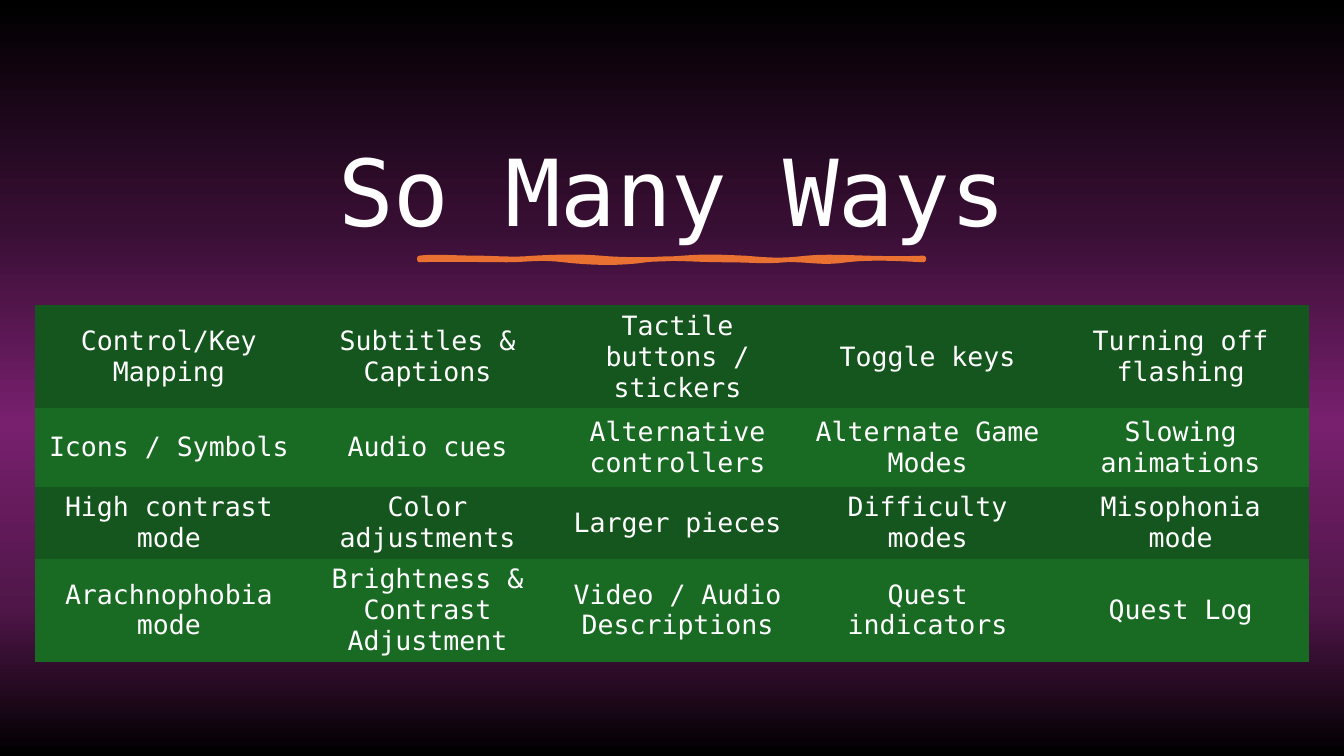
"""Build a slide that lists ways to make games more accessible."""
import lxml.etree
import pptx
import pptx.dml.color
import pptx.enum.text
import pptx.oxml
import pptx.oxml.ns
import pptx.util

Inches = pptx.util.Inches
RGB = pptx.dml.color.RGBColor
ALIGN = pptx.enum.text.PP_ALIGN
ANCHOR = pptx.enum.text.MSO_ANCHOR

WHITE = RGB(0xFF, 0xFF, 0xFF)
ORANGE = RGB(0xE9, 0x71, 0x32)
BANDS = RGB(0x14, 0x56, 0x1D), RGB(0x19, 0x6B, 0x24)
STOPS = [
    (0, RGB(0x00, 0x00, 0x00)),
    (29, RGB(0x36, 0x0E, 0x32)),
    (56, RGB(0x78, 0x20, 0x6E)),
    (80, RGB(0x50, 0x16, 0x49)),
    (100, RGB(0x00, 0x00, 0x00)),
]
NO_GRID = "{2D5ABB26-0587-4C30-8999-92F81FD0307C}"

WAYS = [
    ["Control/Key Mapping", "Subtitles & Captions", "Tactile buttons / stickers",
     "Toggle keys", "Turning off flashing"],
    ["Icons / Symbols", "Audio cues", "Alternative controllers",
     "Alternate Game Modes", "Slowing animations"],
    ["High contrast mode", "Color adjustments", "Larger pieces",
     "Difficulty modes", "Misophonia mode"],
    ["Arachnophobia mode", "Brightness & Contrast Adjustment",
     "Video / Audio Descriptions", "Quest indicators", "Quest Log"],
]
COLS = [2.65, 2.48, 2.48, 2.48, 2.54]
ROWS = [0.78, 0.78, 0.46, 0.78]

START = (4.16, 2.56)
CURVES = [
    (4.28, 2.54, 4.54, 2.56, 4.73, 2.56),
    (4.92, 2.56, 5.09, 2.58, 5.29, 2.56),
    (5.49, 2.55, 5.74, 2.54, 5.96, 2.56),
    (6.17, 2.58, 6.53, 2.58, 6.77, 2.56),
    (7.02, 2.54, 7.14, 2.55, 7.39, 2.56),
    (7.63, 2.58, 7.74, 2.59, 8, 2.56),
    (8.26, 2.53, 8.67, 2.58, 9.16, 2.56),
    (9.17, 2.57, 9.16, 2.57, 9.16, 2.58),
    (8.95, 2.57, 8.65, 2.55, 8.4, 2.58),
    (8.15, 2.62, 8.01, 2.57, 7.79, 2.58),
    (7.56, 2.6, 7.47, 2.58, 7.17, 2.58),
    (6.87, 2.58, 6.67, 2.55, 6.41, 2.58),
    (6.14, 2.62, 5.85, 2.61, 5.59, 2.58),
    (5.34, 2.55, 5.23, 2.58, 5.03, 2.58),
    (4.83, 2.58, 4.38, 2.57, 4.16, 2.58),
    (4.16, 2.58, 4.16, 2.57, 4.16, 2.56),
]


def write(frame, text, *, size, font, color=WHITE, align=ALIGN.CENTER, gap=None):
    para = frame.paragraphs[0]
    para.alignment = align
    para.line_spacing = gap
    run = para.add_run()
    run.text = text
    run.font.size = pptx.util.Pt(size)
    run.font.name = font
    run.font.bold = False
    run.font.color.rgb = color


def trace(start, curves, steps=8):
    dots = [start]
    for curve in curves:
        knots = [dots[-1], curve[:2], curve[2:4], curve[4:]]
        for step in range(1, steps + 1):
            t = step / steps
            parts = [(1 - t) ** 3, 3 * t * (1 - t) ** 2, 3 * t ** 2 * (1 - t), t ** 3]
            dots.append(tuple(sum(p * k[axis] for p, k in zip(parts, knots))
                              for axis in (0, 1)))
    return dots


class Deck:
    font = "DejaVu Sans Mono"

    def __init__(self):
        self.show = pptx.Presentation()
        self.show.slide_width = Inches(13.33)
        self.show.slide_height = Inches(7.5)
        self.slide = self.show.slides.add_slide(self.show.slide_layouts[5])

    def shade(self, stops):
        fill = self.slide.background.fill
        fill.gradient()
        fill.gradient_angle = 270
        tag = pptx.oxml.ns.qn
        items = self.slide.background._cSld.find(".//" + tag("a:gsLst"))
        for item in list(items):
            items.remove(item)
        for place, color in stops:
            stop = lxml.etree.SubElement(items, tag("a:gs"), pos=str(place * 1000))
            lxml.etree.SubElement(stop, tag("a:srgbClr"), val=str(color))

    def title(self, text, left, top, width, height):
        box = self.slide.shapes.title
        box.left, box.top = Inches(left), Inches(top)
        box.width, box.height = Inches(width), Inches(height)
        box.text_frame.word_wrap = True
        box.text_frame.vertical_anchor = ANCHOR.BOTTOM
        write(box.text_frame, text, size=66, font=self.font, gap=0.9)

    def stroke(self, start, curves, color):
        dots = [(Inches(x), Inches(y)) for x, y in trace(start, curves)]
        pen = self.slide.shapes.build_freeform(*dots[0])
        pen.add_line_segments(dots[1:], close=True)
        shape = pen.convert_to_shape()
        shape.shadow.inherit = False
        shape.fill.solid()
        shape.fill.fore_color.rgb = color
        shape.line.color.rgb = color
        shape.line.width = pptx.util.Pt(3.25)

    def table(self, data, left, top, cols, rows):
        frame = self.slide.shapes.add_table(
            len(rows), len(cols), Inches(left), Inches(top),
            Inches(sum(cols)), Inches(sum(rows)))
        grid = frame.table
        grid._tbl.tblPr.find(pptx.oxml.ns.qn("a:tableStyleId")).text = NO_GRID
        for col, width in zip(grid.columns, cols):
            col.width = Inches(width)
        for i, (row, height) in enumerate(zip(grid.rows, rows)):
            row.height = Inches(height)
            for cell, text in zip(row.cells, data[i]):
                cell.fill.solid()
                cell.fill.fore_color.rgb = BANDS[i % 2]
                cell.vertical_anchor = ANCHOR.MIDDLE
                write(cell.text_frame, text, size=19, font=self.font)


def main():
    deck = Deck()
    deck.shade(STOPS)
    deck.title("So Many Ways", 0.7, 0.5, 11.93, 2)
    deck.stroke(START, CURVES, ORANGE)
    deck.table(WAYS, 0.35, 3.03, COLS, ROWS)
    deck.show.save("out.pptx")


if __name__ == "__main__":
    main()
